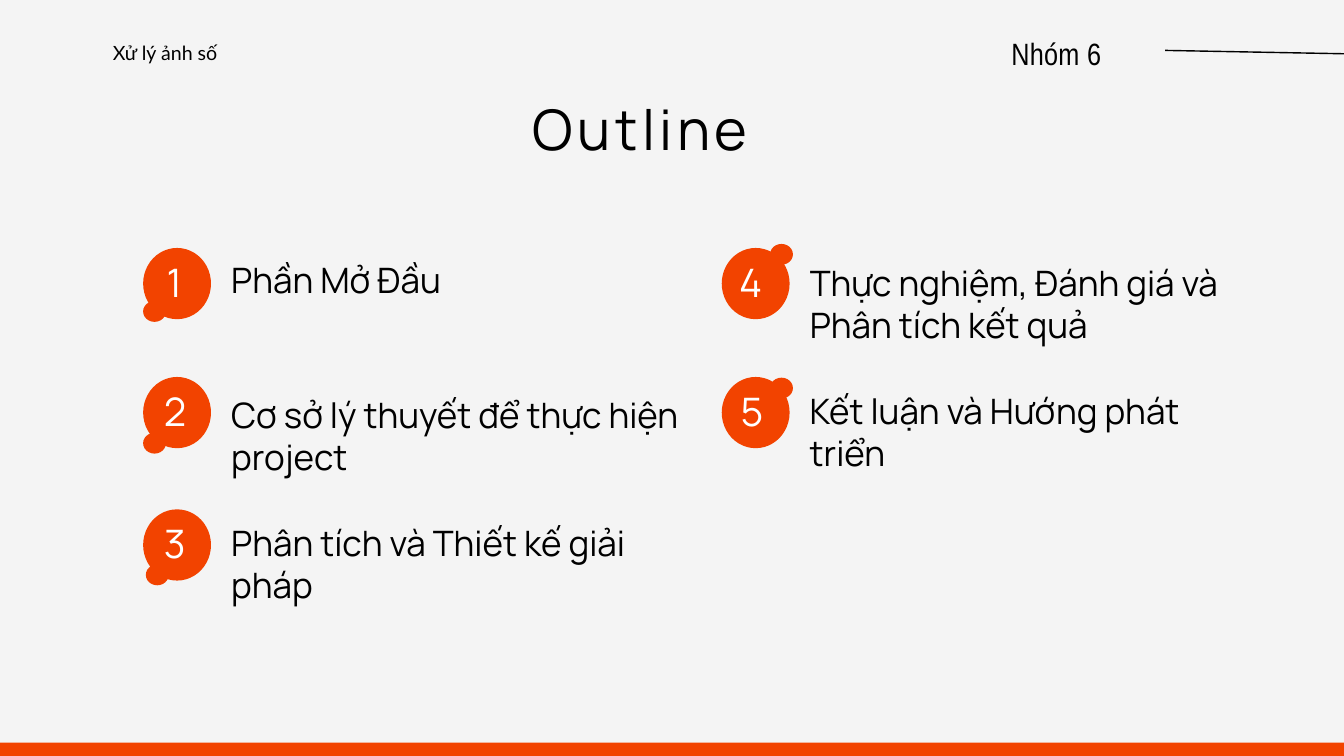
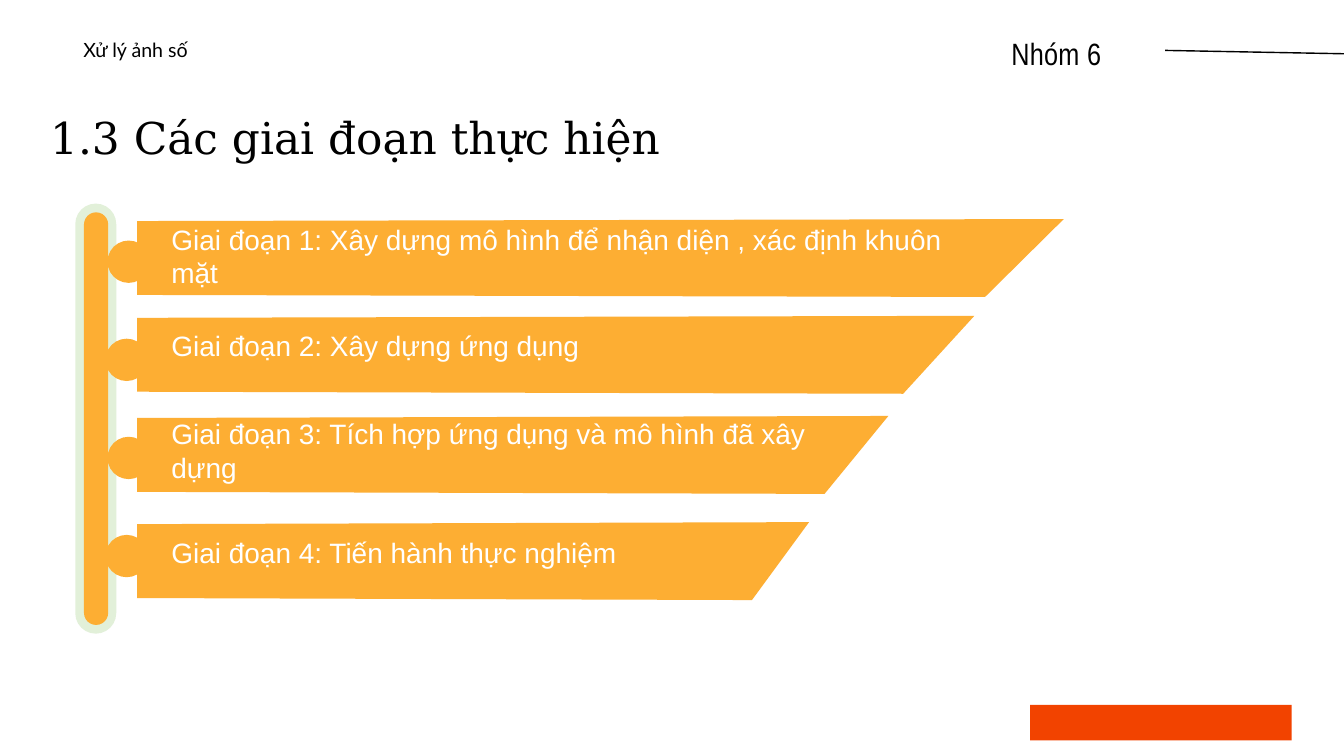
from typing import NamedTuple

from lxml import etree
from pptx import Presentation
from pptx.dml.color import RGBColor
from pptx.enum.shapes import MSO_CONNECTOR, MSO_SHAPE
from pptx.enum.text import MSO_ANCHOR, MSO_AUTO_SIZE, PP_ALIGN
from pptx.oxml.ns import qn
from pptx.util import Inches, Pt

RECTANGLE = MSO_SHAPE.RECTANGLE
ROUNDED = MSO_SHAPE.ROUNDED_RECTANGLE
OVAL = MSO_SHAPE.OVAL
STRAIGHT = MSO_CONNECTOR.STRAIGHT
TOP = MSO_ANCHOR.TOP
NO_AUTOFIT = MSO_AUTO_SIZE.NONE
LEFT, CENTER = PP_ALIGN.LEFT, PP_ALIGN.CENTER

BLACK = RGBColor(0x00, 0x00, 0x00)
WHITE = RGBColor(0xFF, 0xFF, 0xFF)
PAPER = RGBColor(0xF4, 0xF4, 0xF4)
RED_ORANGE = RGBColor(0xF2, 0x43, 0x00)
AMBER = RGBColor(0xFD, 0xAE, 0x33)
PALE_GREEN = RGBColor(0xE2, 0xF0, 0xD9)

TITLE_ONLY = 5


class Box(NamedTuple):
    """Left, top, width and height in inches."""
    left: float
    top: float
    width: float
    height: float

    def lengths(self) -> list:
        return [Inches(value) for value in self]


class Style(NamedTuple):
    font: str
    size: float
    leading: float
    color: RGBColor = BLACK
    align: PP_ALIGN = LEFT
    tracking: float = 0


class OutlineItem(NamedTuple):
    number: str
    text: str
    marker: tuple
    digit_left: float
    bud: tuple
    text_top: float
    text_width: float


class Stage(NamedTuple):
    text: str
    banner_top: float
    banner_width: float
    text_top: float
    text_width: float
    knob_left: float


COURSE = Style("Lato", 21, 25.2)
GROUP = Style("Arial Narrow", 33, 39.6, tracking=0.3)
OUTLINE_TITLE = Style("Manrope", 59.9, 71.8, tracking=5)
OUTLINE_TEXT = Style("Manrope", 37.5, 45)
OUTLINE_DIGIT = Style("Manrope", 42, 50.4, WHITE)
STAGE_TITLE = Style("DejaVu Serif", 47, 65.8, align=CENTER)
STAGE_TEXT = Style("Arial", 30, 36, WHITE)

# Outline grid
COLUMNS = (2.13, 10.74)
ROWS = (3.69, 5.61, 7.58)
OUTLINE = (
    OutlineItem("1", "Phần Mở Đầu", (COLUMNS[0], ROWS[0]), 2.48,
                (2.13, 4.48), 3.84, 3.43),
    OutlineItem("2", "Cơ sở lý thuyết để thực hiện project", (COLUMNS[0], ROWS[1]), 2.44,
                (2.13, 6.44), 5.85, 6.67),
    OutlineItem("3", "Phân tích và Thiết kế giải pháp", (COLUMNS[0], ROWS[2]), 2.44,
                (2.17, 8.4), 7.76, 5.91),
    OutlineItem("4", "Thực nghiệm, Đánh giá và Phân tích kết quả", (COLUMNS[1], ROWS[0]), 11,
                (11.46, 3.63), 3.89, 6.29),
    OutlineItem("5", "Kết luận và Hướng phát triển", (COLUMNS[1], ROWS[1]), 11.02,
                (11.46, 5.62), 5.8, 5.94),
)

# Stage banners
BANNER_LEFT = 2.04
BANNER_HEIGHT = 1.16
SLANT = 0.085
KNOB_TOP, KNOB_STEP, KNOB_SIZE = 3.58, 1.46, 0.63
STAGES = (
    Stage("Giai đoạn 1: Xây dựng mô hình để nhận diện , xác định khuôn mặt",
          3.26, 13.79, 3.31, 12.11, 1.6),
    Stage("Giai đoạn 2: Xây dựng ứng dụng", 4.7, 12.46, 4.89, 8.67, 1.57),
    Stage("Giai đoạn 3: Tích hợp ứng dụng và mô hình đã xây dựng",
          6.19, 11.18, 6.2, 9.97, 1.6),
    Stage("Giai đoạn 4: Tiến hành thực nghiệm", 7.77, 10, 7.97, 7.69, 1.57),
)


def write(shape, text: str, style: Style) -> None:
    frame = shape.text_frame
    frame.word_wrap = True
    frame.auto_size = NO_AUTOFIT
    frame.vertical_anchor = TOP
    frame.margin_left = frame.margin_top = frame.margin_right = frame.margin_bottom = 0
    paragraph = frame.paragraphs[0]
    paragraph.alignment = style.align
    paragraph.line_spacing = Pt(style.leading)
    run = paragraph.add_run()
    run.text = text
    run.font.name = style.font
    run.font.size = Pt(style.size)
    run.font.color.rgb = style.color
    if style.tracking:
        run.font._element.set("spc", str(round(style.tracking * 100)))


def add_text(slide, box: Box, text: str, style: Style) -> None:
    write(slide.shapes.add_textbox(*box.lengths()), text, style)


def paint(shape, color: RGBColor) -> None:
    shape.shadow.inherit = False
    shape.fill.solid()
    shape.fill.fore_color.rgb = color
    shape.line.fill.background()


def add_block(slide, kind: MSO_SHAPE, box: Box, color: RGBColor):
    block = slide.shapes.add_shape(kind, *box.lengths())
    paint(block, color)
    return block


def add_base(prs, background: RGBColor, title: str, title_box: Box, title_style: Style,
             course_left: float, course_top: float, accent: Box):
    """Add a slide with the shared title, header and accent bar."""
    slide = prs.slides.add_slide(prs.slide_layouts[TITLE_ONLY])
    slide.background.fill.solid()
    slide.background.fill.fore_color.rgb = background
    add_block(slide, RECTANGLE, accent, RED_ORANGE)

    heading = slide.shapes.title
    heading.left, heading.top, heading.width, heading.height = title_box.lengths()
    write(heading, title, title_style)

    add_text(slide, Box(course_left, course_top, 2.88, 0.34), "Xử lý ảnh số", COURSE)
    add_text(slide, Box(15.05, 0.51, 2.09, 0.54), "Nhóm 6", GROUP)
    rule = slide.shapes.add_connector(
        STRAIGHT, Inches(17.34), Inches(0.75), Inches(20), Inches(0.8))
    rule.line.color.rgb = BLACK
    rule.line.width = Pt(1.5)
    etree.SubElement(rule._element.spPr, qn("a:effectLst"))
    return slide


def add_outline_item(slide, item: OutlineItem) -> None:
    left, top = item.marker
    add_block(slide, OVAL, Box(left, top, 1.01, 1.06), RED_ORANGE)
    add_block(slide, OVAL, Box(*item.bud, 0.34, 0.31), RED_ORANGE)
    add_text(slide, Box(item.digit_left, top + 0.15, 0.5, 0.8), item.number, OUTLINE_DIGIT)
    add_text(slide, Box(left + 1.31, item.text_top, item.text_width, 1.35),
             item.text, OUTLINE_TEXT)


def add_stage(slide, stage: Stage, knob_top: float) -> None:
    add_block(slide, OVAL, Box(stage.knob_left, knob_top, KNOB_SIZE, KNOB_SIZE), AMBER)
    right = BANNER_LEFT + stage.banner_width
    top, bottom = stage.banner_top, stage.banner_top + BANNER_HEIGHT
    corners = [
        (Inches(x), Inches(y)) for x, y in (
            (right, top),
            (BANNER_LEFT, top + 0.03),
            (BANNER_LEFT, bottom - 0.03),
            (right - SLANT * stage.banner_width, bottom),
        )
    ]
    builder = slide.shapes.build_freeform(*corners[0])
    builder.add_line_segments(corners[1:], close=True)
    paint(builder.convert_to_shape(), AMBER)
    add_text(slide, Box(2.55, stage.text_top, stage.text_width, 1.07), stage.text, STAGE_TEXT)


def build_outline(prs) -> None:
    slide = add_base(prs, PAPER, "Outline", Box(7.92, 1.41, 3.71, 1.06), OUTLINE_TITLE,
                     1.68, 0.61, Box(0, 11.05, 20, 0.2))
    for item in OUTLINE:
        add_outline_item(slide, item)


def build_stages(prs) -> None:
    slide = add_base(prs, WHITE, "1.3 Các giai đoạn thực hiện", Box(0.27, 1.52, 10.04, 0.88),
                     STAGE_TITLE, 1.24, 0.57, Box(15.33, 10.49, 3.89, 0.53))
    # Rail with its pale rim
    for box, color in ((Box(1.12, 3.03, 0.61, 6.4), PALE_GREEN),
                       (Box(1.25, 3.16, 0.36, 6.14), AMBER)):
        add_block(slide, ROUNDED, box, color).adjustments[0] = 0.5
    for index, stage in enumerate(STAGES):
        add_stage(slide, stage, KNOB_TOP + index * KNOB_STEP)


def main() -> None:
    prs = Presentation()
    prs.slide_width, prs.slide_height = Inches(20), Inches(11.25)
    build_outline(prs)
    build_stages(prs)
    prs.save("out.pptx")


if __name__ == "__main__":
    main()
